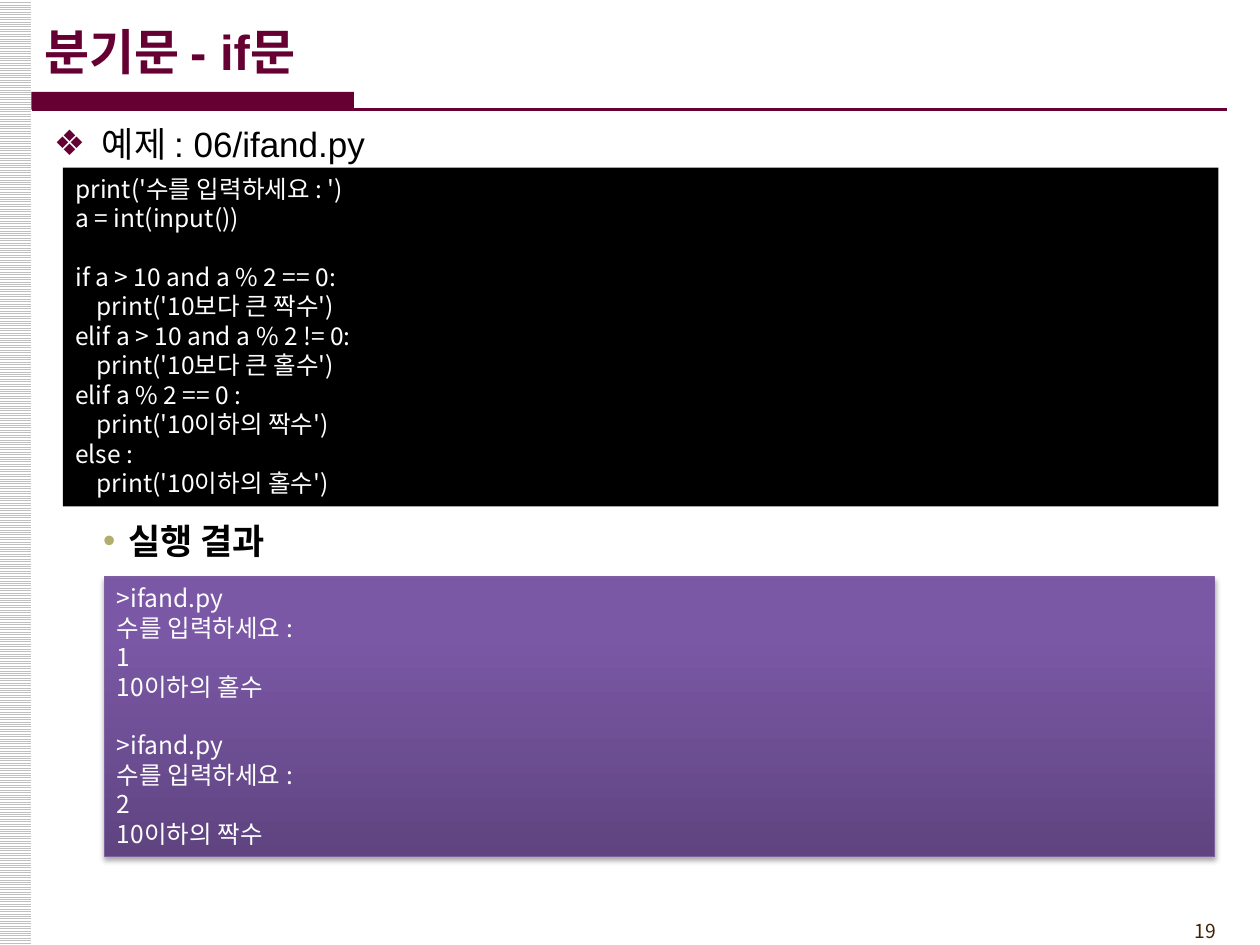
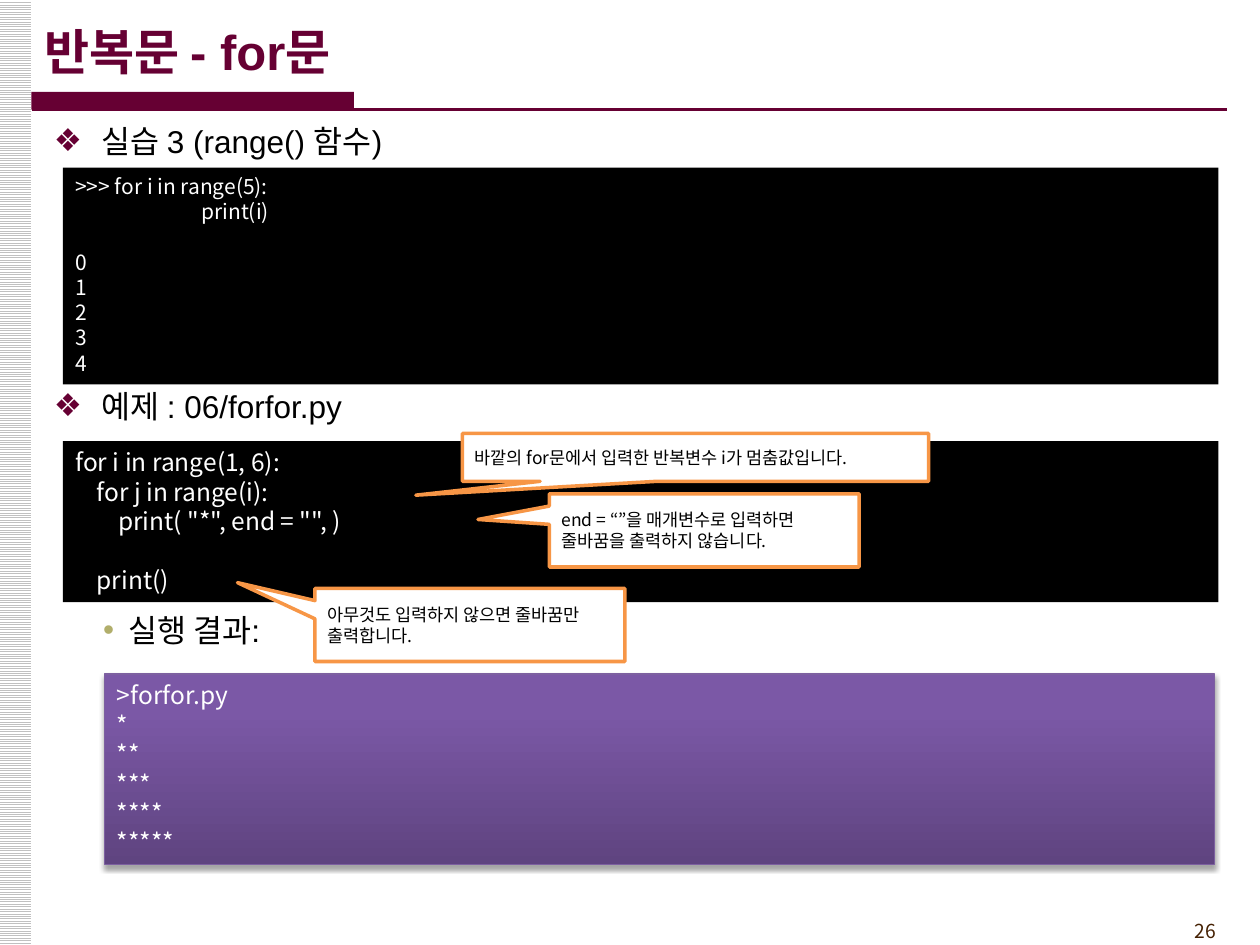
from dataclasses import dataclass

from lxml import etree
from pptx import Presentation
from pptx.dml.color import RGBColor
from pptx.enum.dml import MSO_PATTERN
from pptx.enum.shapes import MSO_CONNECTOR, MSO_SHAPE
from pptx.enum.text import MSO_ANCHOR, PP_ALIGN
from pptx.oxml.ns import qn
from pptx.util import Inches, Pt

RECTANGLE = MSO_SHAPE.RECTANGLE
CALLOUT = MSO_SHAPE.RECTANGULAR_CALLOUT
STRAIGHT = MSO_CONNECTOR.STRAIGHT
STRIPES = MSO_PATTERN.LIGHT_HORIZONTAL
TOP, MIDDLE = MSO_ANCHOR.TOP, MSO_ANCHOR.MIDDLE
LEFT, RIGHT = PP_ALIGN.LEFT, PP_ALIGN.RIGHT
TITLE_ONLY = 5


@dataclass(frozen=True)
class Theme:
    # Fonts
    heading_font: str = "Arial"
    body_font: str = "Noto Sans CJK KR"
    # Colours
    accent: str = "660033"
    bullet: str = "B1AE6B"
    number: str = "452103"
    stripe: str = "C0C0C0"
    dark: str = "000000"
    light: str = "FFFFFF"
    callout: str = "F79646"
    result_line: str = "7D60A0"
    result_stops: tuple = ((0, "5F4480"), (80, "7B58A6"), (100, "7C57A8"))
    # Type sizes
    title_size: int = 28
    code_size: int = 14
    note_size: int = 10
    number_size: int = 11
    line_height: float = 1.2
    # Code indents in inches
    indent: float = 0.17


def rgb(value):
    return RGBColor.from_string(value)


def add_node(parent, tag, **attributes):
    return etree.SubElement(parent, qn(tag), {key: str(value) for key, value in attributes.items()})


class SlideWriter:
    """Holds the deck, its theme and the slide being written."""

    def __init__(self, deck, theme):
        self.deck = deck
        self.theme = theme
        self.slide = None

    def start(self, title, number):
        """Open a slide with its title, margin, band and page number."""
        theme = self.theme
        self.slide = self.deck.slides.add_slide(self.deck.slide_layouts[TITLE_ONLY])

        # Striped margin
        margin = self.shape(RECTANGLE, (-0.01, 0, 0.26, 7.5))
        margin.fill.patterned()
        margin.fill.pattern = STRIPES
        margin.fill.fore_color.rgb = rgb(theme.stripe)
        margin.fill.back_color.rgb = rgb(theme.light)

        # Page number
        box = self.text_box((8.92, 7.25, 0.83, 0.29), TOP)
        para = box.text_frame.paragraphs[0]
        para.alignment = RIGHT
        self.space_lines(para, theme.number_size)
        self.span(para, str(number), theme.number_size, theme.number)

        # Title band and rule
        self.shape(RECTANGLE, (0.25, 0.73, 2.56, 0.14), theme.accent)
        self.rule((0.25, 0.87), (9.74, 0.87))

        # Title
        holder = self.slide.shapes.title
        self.place(holder, (0.25, 0.09, 9.34, 0.63))
        self.frame(holder, MIDDLE)
        para = holder.text_frame.paragraphs[0]
        para.alignment = LEFT
        self.span(para, title, theme.title_size, theme.accent, theme.heading_font, True)

    def place(self, shape, at):
        shape.left, shape.top, shape.width, shape.height = map(Inches, at)

    def frame(self, shape, anchor):
        frame = shape.text_frame
        frame.word_wrap = True
        frame.vertical_anchor = anchor
        frame.margin_left = frame.margin_right = Inches(0.1)
        frame.margin_top = frame.margin_bottom = Inches(0.05)

    def space_lines(self, para, size):
        para.line_spacing = Pt(size * self.theme.line_height)

    def span(self, para, text, size, color, font=None, bold=False):
        span = para.add_run()
        span.text = text
        span.font.name = font or self.theme.body_font
        span.font.size = Pt(size)
        span.font.bold = bold
        span.font.color.rgb = rgb(color)
        add_node(span._r.get_or_add_rPr(), "a:ea", typeface=self.theme.body_font)

    def shape(self, kind, at, fill=None, line=None, line_width=1):
        shape = self.slide.shapes.add_shape(kind, *map(Inches, at))
        shape.shadow.inherit = False
        if fill:
            shape.fill.solid()
            shape.fill.fore_color.rgb = rgb(fill)
        if line:
            shape.line.color.rgb = rgb(line)
            shape.line.width = Pt(line_width)
        else:
            shape.line.fill.background()
        return shape

    def rule(self, start, end):
        ends = map(Inches, (*start, *end))
        rule = self.slide.shapes.add_connector(STRAIGHT, *ends)
        rule.line.color.rgb = rgb(self.theme.accent)
        rule.line.width = Pt(1.5)
        add_node(rule.element.spPr, "a:effectLst")

    def text_box(self, at, anchor):
        box = self.slide.shapes.add_textbox(*map(Inches, at))
        self.frame(box, anchor)
        return box

    def bullet(self, text, middle, size, level=0, bold=False):
        """Write a bulleted line centred on the given height."""
        theme = self.theme
        mark, color, margin, hang = (
            ("❖", theme.accent, 0.38, 0.38),
            ("•", theme.bullet, 0.59, 0.2),
        )[level]
        box = self.text_box((0.33, middle - 0.22, 9.5, 0.44), MIDDLE)
        para = box.text_frame.paragraphs[0]
        settings = para._p.get_or_add_pPr()
        settings.set("marL", str(Inches(margin)))
        settings.set("indent", str(-Inches(hang)))
        add_node(add_node(settings, "a:buClr"), "a:srgbClr", val=color)
        add_node(settings, "a:buFont", typeface=theme.heading_font)
        add_node(settings, "a:buChar", char=mark)
        self.span(para, text, size, theme.dark, theme.heading_font, bold)

    def lines(self, shape, rows, size):
        """Fill a panel; each row is (text, indent steps, blank lines above)."""
        self.frame(shape, TOP)
        frame = shape.text_frame
        for index, (text, steps, gap) in enumerate(rows):
            para = frame.add_paragraph() if index else frame.paragraphs[0]
            para.alignment = LEFT
            self.space_lines(para, size)
            para.space_before = Pt(gap * size * self.theme.line_height)
            if steps:
                settings = para._p.get_or_add_pPr()
                settings.set("marL", str(Inches(steps * self.theme.indent)))
                settings.set("indent", "0")
            self.span(para, text, size, self.theme.light)

    def code(self, top, height, rows, size=None):
        panel = self.shape(RECTANGLE, (0.5, top, 9.17, height), self.theme.dark)
        self.lines(panel, rows, size or self.theme.code_size)

    def result(self, top, height, rows):
        theme = self.theme
        panel = self.shape(RECTANGLE, (0.83, top, 8.81, height),
                           line=theme.result_line, line_width=0.75)
        # Three-stop gradient
        panel.fill.gradient()
        panel.fill.gradient_angle = 90
        stops = panel.element.spPr.find(".//" + qn("a:gsLst"))
        for stop in list(stops):
            stops.remove(stop)
        for position, color in theme.result_stops:
            stop = add_node(stops, "a:gs", pos=position * 1000)
            add_node(stop, "a:srgbClr", val=color)
        # Soft shadow below
        effects = panel.element.spPr.find(qn("a:effectLst"))
        shadow = add_node(effects, "a:outerShdw", blurRad=Pt(3.1), dist=Pt(1.8),
                          dir=90 * 60000, rotWithShape=0)
        add_node(add_node(shadow, "a:srgbClr", val=theme.dark), "a:alpha", val=35000)
        self.lines(panel, rows, theme.code_size)

    def callout(self, at, pointer, text):
        theme = self.theme
        note = self.shape(CALLOUT, at, theme.light, theme.callout, 2)
        for index, value in enumerate(pointer):
            note.adjustments[index] = value
        self.frame(note, MIDDLE)
        para = note.text_frame.paragraphs[0]
        para.alignment = LEFT
        self.space_lines(para, theme.note_size)
        self.span(para, text, theme.note_size, theme.dark)


def build_if_slide(writer):
    writer.start("분기문 - if문", 19)
    writer.bullet("예제 : 06/ifand.py", 1.14, 20)
    writer.code(1.33, 2.69, [
        ("print('수를 입력하세요 : ')", 0, 0),
        ("a = int(input())", 0, 0),
        ("if a > 10 and a % 2 == 0:", 0, 1),
        ("print('10보다 큰 짝수')", 1, 0),
        ("elif a > 10 and a % 2 != 0:", 0, 0),
        ("print('10보다 큰 홀수')", 1, 0),
        ("elif a % 2 == 0 :", 0, 0),
        ("print('10이하의 짝수')", 1, 0),
        ("else :", 0, 0),
        ("print('10이하의 홀수')", 1, 0),
    ])
    writer.bullet("실행 결과", 4.29, 20, level=1, bold=True)
    rows = []
    for gap, (entry, answer) in enumerate((("1", "10이하의 홀수"), ("2", "10이하의 짝수"))):
        rows.append((">ifand.py", 0, gap))
        rows += [(text, 0, 0) for text in ("수를 입력하세요 :", entry, answer)]
    writer.result(4.58, 2.22, rows)


def build_for_slide(writer):
    writer.start("반복문 - for문", 26)

    # Practice with range()
    writer.bullet("실습 3 (range() 함수)", 1.12, 18)
    rows = [(">>> for i in range(5):", 0, 0), ("print(i)", 1 / writer.theme.indent, 0)]
    rows += [(str(count), 0, int(count == 0)) for count in range(5)]
    writer.code(1.33, 1.72, rows, size=12)

    # Nested loop and its output
    writer.bullet("예제 : 06/forfor.py", 3.22, 18)
    writer.code(3.5, 1.28, [
        ("for i in range(1, 6):", 0, 0),
        ("for j in range(i):", 1, 0),
        ('print( "*", end = "", )', 2, 0),
        ("print()", 1, 1),
    ])
    writer.bullet("실행 결과:", 5.0, 18, level=1)
    writer.result(5.35, 1.51, [(">forfor.py", 0, 0)]
                  + [("*" * count, 0, 0) for count in range(1, 6)])

    # Explanations
    writer.callout((4.36, 3.92, 2.46, 0.58), (-0.73, -0.15),
                   "end = “”을 매개변수로 입력하면 줄바꿈을 출력하지 않습니다.")
    writer.callout((2.5, 4.67, 2.46, 0.58), (-0.75, -0.58),
                   "아무것도 입력하지 않으면 줄바꿈만 출력합니다.")
    writer.callout((3.67, 3.44, 3.7, 0.38), (-0.6, 0.79),
                   "바깥의 for문에서 입력한 반복변수 i가 멈춤값입니다.")


def main():
    deck = Presentation()
    deck.slide_width, deck.slide_height = Inches(10), Inches(7.5)
    writer = SlideWriter(deck, Theme())
    build_if_slide(writer)
    build_for_slide(writer)
    deck.save("out.pptx")


if __name__ == "__main__":
    main()
